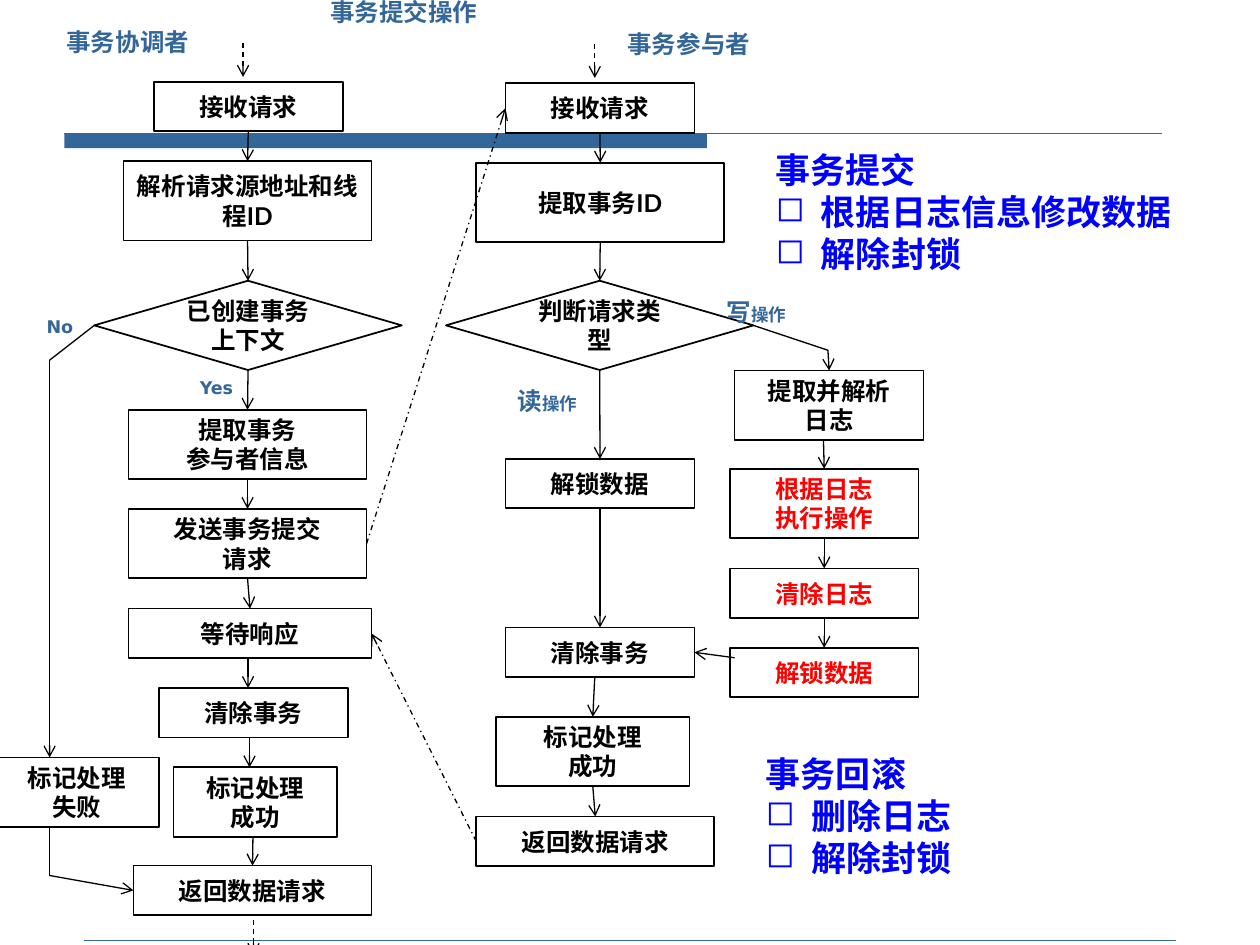
from typing import NamedTuple, Union

from lxml.etree import SubElement
from pptx import Presentation
from pptx.dml.color import RGBColor
from pptx.enum.dml import MSO_LINE_DASH_STYLE as Dash
from pptx.enum.shapes import MSO_CONNECTOR as Connector, MSO_SHAPE as Shape
from pptx.enum.text import MSO_ANCHOR as Anchor, MSO_AUTO_SIZE as AutoSize, PP_ALIGN as Align
from pptx.oxml.ns import qn
from pptx.util import Cm, Pt

COLORS = {"steel": "336699", "black": "000000", "white": "FFFFFF",
          "red": "FF0000", "blue": "0000FF"}
TOP, LEFT, BOTTOM, RIGHT = range(4)
NODE_WIDTH, LOW, TALL = 3.81, 1.0, 1.4
End = Union[tuple[float, float], tuple[str, int]]


class Node(NamedTuple):
    """A flow chart step; lengths in cm."""
    key: str
    text: str
    left: float
    top: float
    width: float = NODE_WIDTH
    height: float = LOW
    color: str = "black"
    kind: Shape = Shape.RECTANGLE


class Link(NamedTuple):
    """A line whose ends are points in cm or (node key, side)."""
    start: End
    end: End
    arrow: bool = True
    dash: Union[Dash, None] = None
    color: str = "black"
    weight: float = 0.75


class Label(NamedTuple):
    runs: list[tuple[str, int]]
    left: float
    top: float
    width: float
    height: float
    wrap: bool = True


class Summary(NamedTuple):
    heading: str
    items: list[str]
    left: float
    top: float


NODES = [
    Node("receive", "接收请求", 3.1, 1.65),
    Node("parse", "解析请求源地址和线程ID", 2.49, 3.25, 5, 1.6),
    Node("context", "已创建事务上下文", 1.9, 5.66, 6.2, 1.8, kind=Shape.FLOWCHART_DECISION),
    Node("members", "提取事务\n参与者信息", 2.59, 8.26, 4.8, TALL),
    Node("send", "发送事务提交\n请求", 2.59, 10.26, 4.8, TALL),
    Node("wait", "等待响应", 2.59, 12.27, 4.9),
    Node("clear", "清除事务", 3.2, 13.87),
    Node("success", "标记处理\n成功", 3.5, 15.47, 3.3, TALL),
    Node("failure", "标记处理\n失败", -0.1, 15.27, 3.3, TALL),
    Node("return", "返回数据请求", 2.69, 17.45, 4.8),
    Node("member receive", "接收请求", 10.19, 1.68),
    Node("member id", "提取事务ID", 9.6, 3.28, 5, 1.6),
    Node("member type", "判断请求类型", 8.99, 5.66, 6.2, 1.8, kind=Shape.FLOWCHART_DECISION),
    Node("member unlock", "解锁数据", 10.19, 9.25),
    Node("member clear", "清除事务", 10.19, 12.65),
    Node("member success", "标记处理\n成功", 10, 14.45, 3.9, TALL),
    Node("member return", "返回数据请求", 9.6, 16.46, 4.8),
    Node("log parse", "提取并解析\n日志", 14.81, 7.47, height=TALL),
    Node("log apply", "根据日志\n执行操作", 14.71, 9.45, height=TALL, color="red"),
    Node("log clear", "清除日志", 14.71, 11.46, color="red"),
    Node("log unlock", "解锁数据", 14.71, 13.06, color="red"),
]

DOWNWARD = [
    ("receive", "parse"), ("parse", "context"), ("context", "members"),
    ("members", "send"), ("send", "wait"),
    ("member receive", "member id"), ("member id", "member type"),
    ("member type", "member unlock"), ("member unlock", "member clear"),
    ("member success", "member return"),
    ("log apply", "log clear"), ("log clear", "log unlock"),
]

LINKS = [Link((upper, BOTTOM), (lower, TOP)) for upper, lower in DOWNWARD] + [
    Link((4.9, 0.86), (4.9, 1.55), dash=Dash.DASH),
    Link((11.99, 0.89), (11.99, 1.57), dash=Dash.DASH),
    Link((5.11, 18.54), (5.11, 19.25), dash=Dash.DASH),
    Link((5, 13.27), (5, 13.87)),
    Link((5.03, 14.87), (5.03, 15.47)),
    Link((5.1, 16.87), ("return", TOP)),
    Link(("context", LEFT), (1, 7.26), arrow=False),
    Link((1, 7.26), (1, 15.27)),
    Link((1, 16.67), (1, 17.65), arrow=False),
    Link((1, 17.65), ("return", LEFT)),
    Link(("member type", RIGHT), (16.69, 7.06), arrow=False),
    Link((16.69, 7.06), ("log parse", TOP)),
    Link((16.6, 8.87), ("log apply", TOP)),
    Link((14.81, 13.26), ("member clear", RIGHT)),
    Link((11.99, 13.65), ("member success", TOP)),
    Link(("send", RIGHT), ("member receive", LEFT), dash=Dash.DASH_DOT),
    Link(("member return", LEFT), ("wait", RIGHT), dash=Dash.DASH_DOT),
]

RULES = [
    Link((1.3, 2.69), (23.42, 2.69), arrow=False, color="steel"),
    Link((1.7, 18.95), (23.7, 18.95), arrow=False, color="steel", weight=0.25),
]

LABELS = [
    Label([("事务协调者", 14)], 1.09, 0.43, 3, 0.86, wrap=False),
    Label([("事务参与者", 14)], 12.4, 0.46, 3, 0.86, wrap=False),
    Label([("Yes", 10)], 3.78, 7.47, 1.35, 0.69),
    Label([("No", 10)], 0.69, 6.25, 1.35, 0.69),
    Label([("读", 14), ("操作", 10)], 10.19, 7.65, 2.39, 0.86),
    Label([("写", 14), ("操作", 10)], 14.4, 5.87, 2.39, 0.86),
]

SUMMARIES = [
    Summary("事务提交", ["根据日志信息修改数据", "解除封锁"], 15.39, 2.87),
    Summary("事务回滚", ["删除日志", "解除封锁"], 15.19, 15.04),
]


def rgb(name: str) -> RGBColor:
    return RGBColor.from_string(COLORS[name])


def format_font(font, color: str, size: int, name: str) -> None:
    for attribute, value in {"name": name, "size": Pt(size), "bold": True}.items():
        setattr(font, attribute, value)
    font.color.rgb = rgb(color)


def format_frame(frame, wrap: bool, anchor: Anchor = Anchor.TOP) -> None:
    settings = {"word_wrap": wrap, "auto_size": AutoSize.NONE, "vertical_anchor": anchor}
    for attribute, value in settings.items():
        setattr(frame, attribute, value)


def draw_node(slide, node: Node):
    shape = slide.shapes.add_shape(
        node.kind, *map(Cm, (node.left, node.top, node.width, node.height)))
    shape.shadow.inherit = False
    shape.fill.solid()
    shape.fill.fore_color.rgb = rgb("white")
    shape.line.color.rgb = rgb("black")
    shape.line.width = Pt(1)
    format_frame(shape.text_frame, True, Anchor.MIDDLE)
    shape.text_frame.text = node.text
    for paragraph in shape.text_frame.paragraphs:
        paragraph.alignment = Align.CENTER
        format_font(paragraph.runs[0].font, node.color, 14, "Lato")
    return shape


def draw_link(slide, link: Link, nodes: dict) -> None:
    ends = (link.start, link.end)
    points = [(0, 0) if isinstance(end[0], str) else end for end in ends]
    line = slide.shapes.add_connector(
        Connector.STRAIGHT, *(Cm(value) for point in points for value in point))
    for end, connect in zip(ends, (line.begin_connect, line.end_connect)):
        if isinstance(end[0], str):
            connect(nodes[end[0]], end[1])
    line.line.color.rgb = rgb(link.color)
    line.line.width = Pt(link.weight)
    if link.dash is not None:
        line.line.dash_style = link.dash
    properties = line._element.spPr
    if link.arrow:
        SubElement(properties.find(qn("a:ln")), qn("a:tailEnd"), type="arrow")
    SubElement(properties, qn("a:effectLst"))


def draw_bar(slide) -> None:
    bar = slide.shapes.add_shape(Shape.RECTANGLE, *map(Cm, (1.3, 2.69, 12.95, 0.3)))
    bar.shadow.inherit = False
    bar.fill.solid()
    bar.fill.fore_color.rgb = rgb("steel")
    bar.line.fill.background()


def draw_label(slide, label: Label) -> None:
    box = slide.shapes.add_textbox(
        *map(Cm, (label.left, label.top, label.width, label.height)))
    format_frame(box.text_frame, label.wrap)
    for text, size in label.runs:
        run = box.text_frame.paragraphs[0].add_run()
        run.text = text
        format_font(run.font, "steel", size, "DejaVu Sans")


def draw_summary(slide, summary: Summary) -> None:
    box = slide.shapes.add_textbox(*map(Cm, (summary.left, summary.top, 13.82, 2.82)))
    format_frame(box.text_frame, True)
    box.text_frame.text = "\n".join([summary.heading, *summary.items])
    for index, paragraph in enumerate(box.text_frame.paragraphs):
        if index:
            properties = paragraph._p.get_or_add_pPr()
            properties.set("marL", str(Cm(0.91)))
            properties.set("indent", str(-Cm(0.91)))
            SubElement(properties, qn("a:buChar"), char="◻")
        format_font(paragraph.runs[0].font, "blue", 20, "Lato")


def place_title(slide) -> None:
    title = slide.shapes.title
    position = {"left": 6.4, "top": -0.18, "width": 3.5, "height": 0.86}
    for attribute, value in position.items():
        setattr(title, attribute, Cm(value))
    format_frame(title.text_frame, False)
    title.text_frame.text = "事务提交操作"
    paragraph = title.text_frame.paragraphs[0]
    paragraph.alignment = Align.LEFT
    format_font(paragraph.runs[0].font, "steel", 14, "DejaVu Sans")


def main() -> None:
    presentation = Presentation()
    presentation.slide_width, presentation.slide_height = Cm(25.4), Cm(19.05)
    slide = presentation.slides.add_slide(presentation.slide_layouts[5])
    place_title(slide)
    draw_bar(slide)
    for rule in RULES:
        draw_link(slide, rule, {})
    nodes = {node.key: draw_node(slide, node) for node in NODES}
    for link in LINKS:
        draw_link(slide, link, nodes)
    for label in LABELS:
        draw_label(slide, label)
    for summary in SUMMARIES:
        draw_summary(slide, summary)
    presentation.save("out.pptx")


if __name__ == "__main__":
    main()
